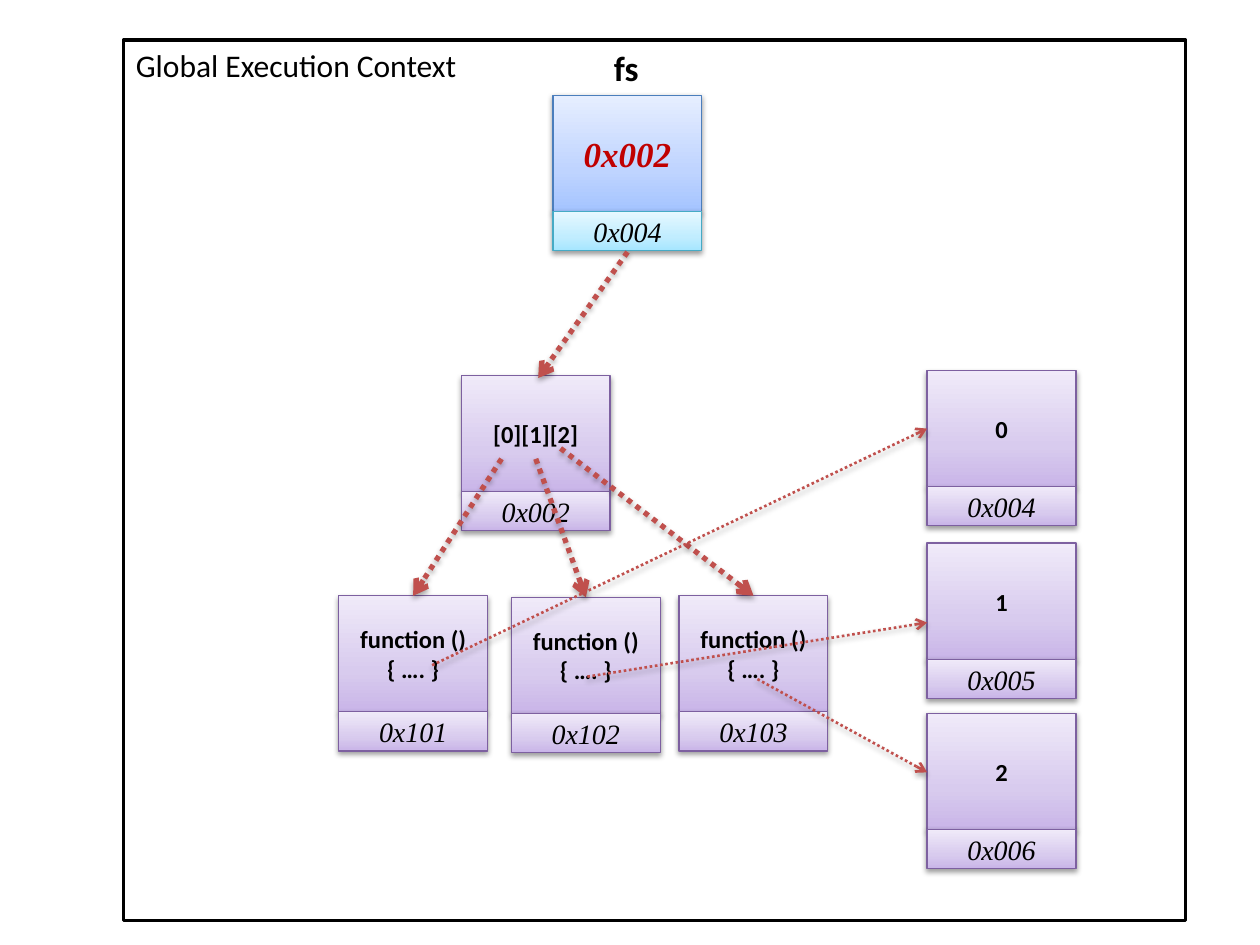
from copy import deepcopy
from dataclasses import dataclass

from lxml.etree import SubElement
from pptx import Presentation
from pptx.dml.color import RGBColor
from pptx.enum.dml import MSO_LINE
from pptx.enum.shapes import MSO_CONNECTOR, MSO_SHAPE
from pptx.enum.text import MSO_ANCHOR, PP_ALIGN
from pptx.oxml.ns import qn
from pptx.util import Cm, Pt


@dataclass(frozen=True)
class Theme:
    """Each tint holds a line colour and the gradient from bottom to top."""
    black: str = "000000"
    white: str = "FFFFFF"
    red: str = "C00000"
    arrow: str = "C0504D"
    violet: tuple = ("7D60A0", "C9B5E8", "D8CBEE", "F0EAF9")
    blue: tuple = ("4B7EBC", "A4C4FF", "BFD4FF", "E6EEFF")
    cyan: tuple = ("46AAC5", "A7E6FF", "C1EDFF", "E7F8FF")
    sans: str = "Calibri"
    serif: str = "Times New Roman"
    large: int = 20
    title: int = 18
    mid: int = 16
    small: int = 14


def rgb(code):
    return RGBColor.from_string(code)


def apply(target, values):
    for name, value in values.items():
        setattr(target, name, value)


def shade(effects, alpha, dist):
    """Add a soft shadow that falls straight down."""
    drop = SubElement(effects, qn("a:outerShdw"), blurRad="40000",
                      dist=str(dist), dir="5400000", rotWithShape="0")
    tone = SubElement(drop, qn("a:srgbClr"), val="000000")
    SubElement(tone, qn("a:alpha"), val=str(alpha * 1000))


class Board:
    VALUE_W, VALUE_H, TAG_H = 3, 2.34, 0.79

    def __init__(self, slide, theme):
        self.slide = slide
        self.theme = theme

    def text(self, shape, words, size, color=None, align=PP_ALIGN.CENTER,
             anchor=MSO_ANCHOR.MIDDLE, **font):
        frame = shape.text_frame
        apply(frame, {"word_wrap": True, "vertical_anchor": anchor})
        par = frame.paragraphs[0]
        par.alignment = align
        run = par.add_run()
        run.text = words
        apply(run.font, {"name": self.theme.sans, "size": Pt(size), **font})
        run.font.color.rgb = rgb(color or self.theme.black)

    def rect(self, shapes, place, line, width):
        shape = shapes.add_shape(MSO_SHAPE.RECTANGLE, *map(Cm, place))
        shape.shadow.inherit = False
        shape.line.color.rgb = rgb(line)
        shape.line.width = Pt(width)
        return shape

    def frame(self, place, words):
        look = self.theme
        shape = self.rect(self.slide.shapes, place, look.black, 2)
        shape.fill.solid()
        shape.fill.fore_color.rgb = rgb(look.white)
        self.text(shape, words, look.title, align=PP_ALIGN.LEFT,
                  anchor=MSO_ANCHOR.TOP)

    def panel(self, shapes, place, tint):
        """Draw a shaded rectangle with a three-stop gradient."""
        line, *tones = tint
        shape = self.rect(shapes, place, line, 0.75)
        fill = shape.fill
        fill.gradient()
        fill.gradient_angle = 90
        props = shape._element.spPr
        stops = props.find(qn("a:gradFill")).find(qn("a:gsLst"))
        stops.insert(1, deepcopy(stops[0]))
        for stop, tone, spot in zip(fill.gradient_stops, tones, (0, 0.35, 1)):
            stop.color.rgb = rgb(tone)
            stop.position = spot
        shade(props.find(qn("a:effectLst")), 38, 20000)
        return shape

    def cell(self, left, top, words, tag, tint=None, low=None, **font):
        """Group a value with the address tag below it."""
        look = self.theme
        tint = tint or look.violet
        shapes = self.slide.shapes.add_group_shape().shapes
        value = self.panel(
            shapes, (left, top, self.VALUE_W, self.VALUE_H), tint)
        self.text(value, words, **{"size": look.small, "bold": True, **font})
        foot = self.panel(
            shapes, (left, top + self.VALUE_H, self.VALUE_W, self.TAG_H),
            low or tint)
        self.text(foot, tag, look.mid, name=look.serif, italic=True)
        return shapes

    def label(self, shapes, place, words):
        box = shapes.add_textbox(*map(Cm, place))
        self.text(box, words, self.theme.large, anchor=MSO_ANCHOR.TOP,
                  bold=True)

    def arrow(self, ends, width):
        link = self.slide.shapes.add_connector(
            MSO_CONNECTOR.STRAIGHT, *map(Cm, ends))
        link.line.color.rgb = rgb(self.theme.arrow)
        apply(link.line, {"width": Pt(width),
                          "dash_style": MSO_LINE.ROUND_DOT})
        props = link._element.spPr
        SubElement(props.find(qn("a:ln")), qn("a:tailEnd"), type="arrow")
        shade(SubElement(props, qn("a:effectLst")), 35, 23000)


def main():
    deck = Presentation()
    apply(deck, {"slide_width": Cm(25.4), "slide_height": Cm(19.05)})
    look = Theme()
    board = Board(deck.slides.add_slide(deck.slide_layouts[6]), look)

    board.frame((2.49, 0.81, 21.41, 17.75), "Global Execution Context")
    board.cell(9.3, 7.57, "[0][1][2]", "0x002")
    calls = [(6.83, 12.01), (10.31, 12.04), (13.69, 12.01)]
    for num, (left, top) in enumerate(calls, 1):
        board.cell(left, top, "function (){ …. }", f"0x10{num}")
    for num, top in enumerate((7.47, 10.95, 14.38)):
        board.cell(18.69, top, str(num), f"0x00{num + 4}")

    root = board.cell(11.15, 1.92, "0x002", "0x004", look.blue, look.cyan,
                      size=look.large, color=look.red, name=look.serif,
                      italic=True)
    board.label(root, (10.72, 0.81, 3.81, 1.12), "fs")

    thick = [(10.8, 9.25, 11.81, 12.04), (10.11, 9.25, 8.33, 12.01),
             (11.3, 9.04, 15.19, 12.01), (12.65, 5.08, 10.85, 7.62)]
    thin = [(8.71, 13.41, 18.69, 8.64), (11.84, 13.64, 18.69, 12.55),
            (15.27, 13.69, 18.69, 15.57)]
    for width, group in ((3, thick), (1.5, thin)):
        for ends in group:
            board.arrow(ends, width)

    deck.save("out.pptx")


if __name__ == "__main__":
    main()
